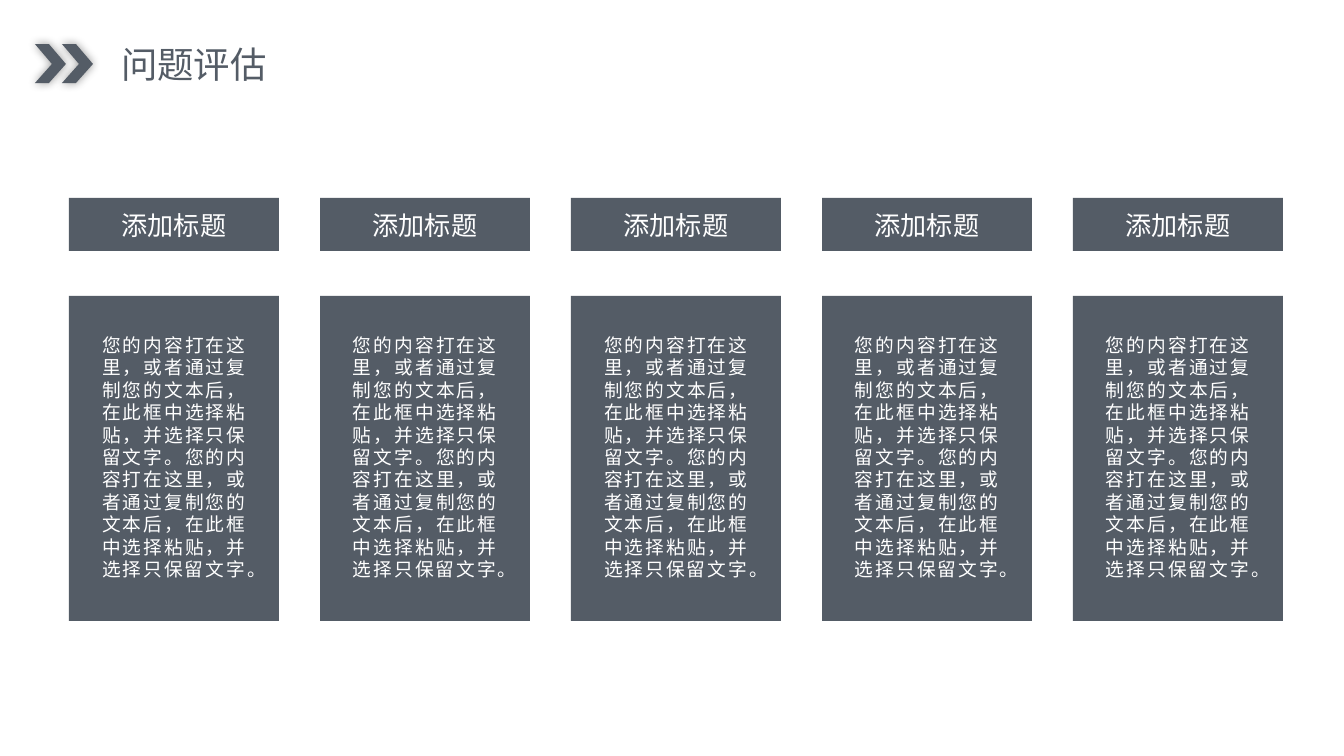
from lxml import etree
from pptx import Presentation
from pptx.dml.color import RGBColor
from pptx.enum.shapes import MSO_SHAPE
from pptx.enum.text import MSO_ANCHOR, PP_ALIGN
from pptx.oxml.ns import qn
from pptx.util import Pt

RECT = MSO_SHAPE.RECTANGLE
TOP, MIDDLE = MSO_ANCHOR.TOP, MSO_ANCHOR.MIDDLE
LEFT, CENTER, JUSTIFY = PP_ALIGN.LEFT, PP_ALIGN.CENTER, PP_ALIGN.JUSTIFY

SLATE = RGBColor(0x54, 0x5C, 0x66)
WHITE = RGBColor(0xFF, 0xFF, 0xFF)
FONT = "Noto Sans CJK SC"
SCALE = 914400 / 134.4

TITLE = "问题评估"
HEAD = "添加标题"
BODY = "您的内容打在这里，或者通过复制您的文本后，在此框中选择粘贴，并选择只保留文字。" * 2
CHEVRON = [(17, 20), (0, 39), (14, 39), (31, 20), (14, 0), (0, 0)]


def px(n):
    return round(n * SCALE)


def place(shape, x, y, w, h):
    shape.left, shape.top, shape.width, shape.height = map(px, (x, y, w, h))


def write(shape, text, size, color, align, anchor, inset, wrap=True, line=None, gap=0):
    frame = shape.text_frame
    frame.word_wrap = wrap
    frame.vertical_anchor = anchor
    frame.margin_left = frame.margin_right = px(inset[0])
    frame.margin_top = frame.margin_bottom = px(inset[1])
    para = frame.paragraphs[0]
    para.alignment = align
    para.line_spacing = line
    run = para.add_run()
    run.text = text
    run.font.size = Pt(size)
    run.font.color.rgb = color
    run.font.name = FONT
    props = run._r.get_or_add_rPr()
    etree.SubElement(props, qn("a:ea")).set("typeface", FONT)
    if gap:
        props.set("spc", str(gap))


def paint(shape):
    shape.fill.solid()
    shape.fill.fore_color.rgb = SLATE
    shape.line.fill.background()
    shape.shadow.inherit = False


def glow(shape):
    effects = shape._element.spPr.find(qn("a:effectLst"))
    shade = etree.SubElement(effects, qn("a:outerShdw"), blurRad=str(Pt(5)), dist="0", dir="0")
    color = etree.SubElement(shade, qn("a:srgbClr"), val="000000")
    etree.SubElement(color, qn("a:alpha"), val="40000")


def add_header(slide, x, y):
    group = slide.shapes.add_group_shape()
    for shift in (27, 0):
        points = [(x + shift + dx, y + dy) for dx, dy in CHEVRON]
        pen = group.shapes.build_freeform(*points[0], scale=SCALE)
        pen.add_line_segments(points[1:], close=True)
        arrow = pen.convert_to_shape()
        paint(arrow)
        glow(arrow)
    title = slide.shapes.title
    place(title, x + 73, y - 9, 175, 58)
    write(title, TITLE, 19.5, SLATE, LEFT, MIDDLE, (13, 7), wrap=False)


def add_panel(slide, x, y, w, h):
    panel = slide.shapes.add_shape(RECT, 0, 0, 0, 0)
    place(panel, x, y, w, h)
    paint(panel)


def add_label(slide, x, y, w, h, *style, **extra):
    box = slide.shapes.add_textbox(0, 0, 0, 0)
    place(box, x, y, w, h)
    write(box, *style, **extra)


def add_column(slide, x, y, w):
    add_panel(slide, x, y, w, 53)
    add_panel(slide, x, y + 98, w, 325)
    add_label(slide, x + 13, y + 4, w - 26, 44,
              HEAD, 14, WHITE, CENTER, MIDDLE, (9, 5), line=1.1)
    add_label(slide, x + 24, y + 131, w - 47, 282,
              BODY, 10, WHITE, JUSTIFY, TOP, (9, 5), line=Pt(12), gap=100)


def main():
    deck = Presentation()
    deck.slide_width, deck.slide_height = px(1344), px(756)
    slide = deck.slides.add_slide(deck.slide_layouts[5])
    add_header(slide, 35, 44)
    for i in range(5):
        add_column(slide, 69 + 251 * i, 198, 210)
    deck.save("out.pptx")


if __name__ == "__main__":
    main()
